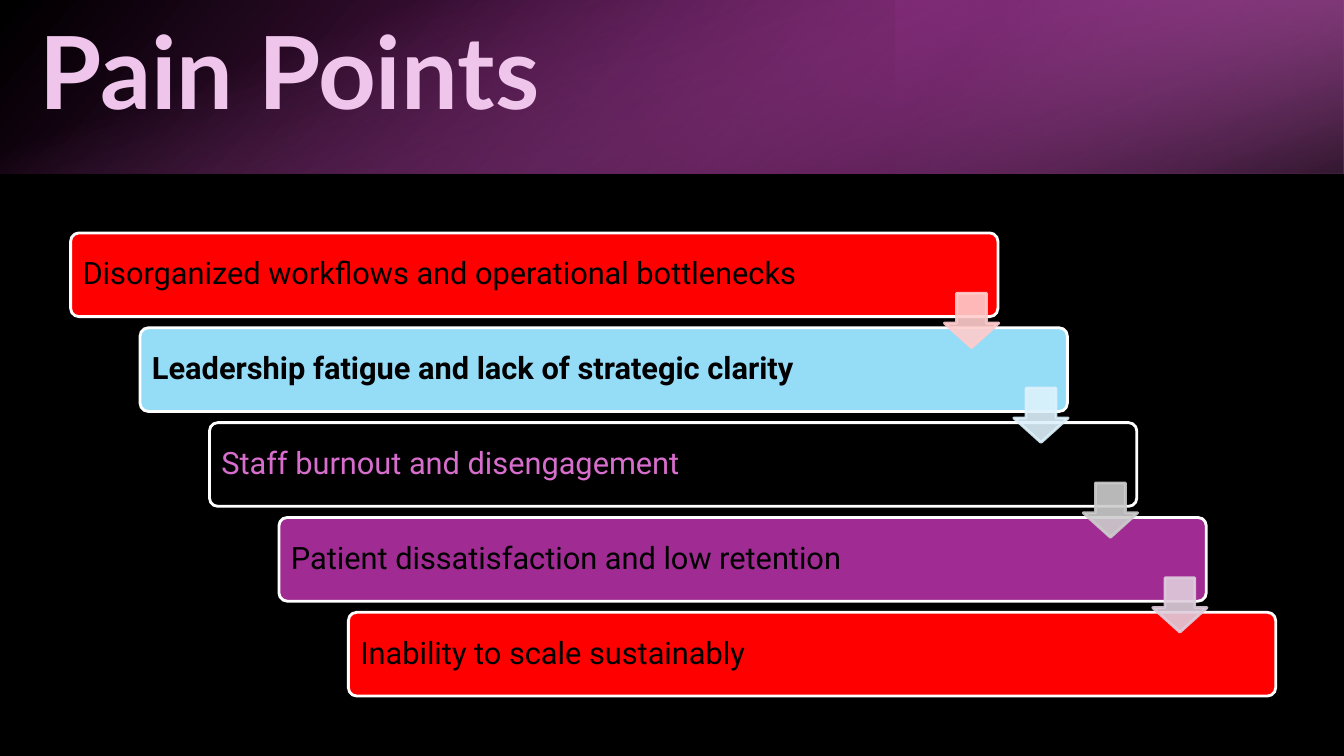
from lxml.etree import SubElement
from pptx import Presentation
from pptx.dml.color import RGBColor
from pptx.enum.shapes import MSO_SHAPE
from pptx.enum.text import MSO_ANCHOR, PP_ALIGN
from pptx.oxml.ns import qn
from pptx.util import Cm, Pt


def rgb(color):
    return RGBColor.from_string(color)


def write(s, text, font, size, color, bold):
    tf = s.text_frame
    tf.word_wrap = True
    tf.vertical_anchor = MSO_ANCHOR.MIDDLE
    p = tf.paragraphs[0]
    p.text = text
    p.alignment = PP_ALIGN.LEFT
    p.line_spacing = 0.9
    f = p.runs[0].font
    f.name, f.size, f.bold = font, Pt(size), bold
    f.color.rgb = rgb(color)


prs = Presentation()
prs.slide_width, prs.slide_height = Cm(33.87), Cm(19.05)
slide = prs.slides.add_slide(prs.slide_layouts[6])
slide.background.fill.solid()
slide.background.fill.fore_color.rgb = rgb("000000")

# Header band: left, top, width, height, rotation, flip, angle, stops (position, color, opacity)
band = [
    (0, 0, 33.87, 4.37, 0, True, 140, [(0, "000000", 96), (100, "BF34B0", 100)]),
    (22.58, 0, 11.29, 4.37, 180, True, 320, [(19, "7F2376", 68), (100, "D76DCC", 79)]),
    (14.75, -14.75, 4.37, 33.87, 90, False, 340, [(23, "D76DCC", 0), (99, "000000", 74)]),
]
for x, y, w, h, rotation, flip, angle, stops in band:
    s = slide.shapes.add_shape(MSO_SHAPE.RECTANGLE, Cm(x), Cm(y), Cm(w), Cm(h))
    s.shadow.inherit = False
    s.line.fill.background()
    s.rotation = rotation
    spPr = s._element.spPr
    if flip:
        spPr.find(qn("a:xfrm")).set("flipH", "1")
    s.fill.gradient()
    grad = spPr.find(qn("a:gradFill"))
    grad.set("rotWithShape", "1")
    for child in list(grad):
        grad.remove(child)
    gsLst = SubElement(grad, qn("a:gsLst"))
    for pos, color, opacity in stops:
        gs = SubElement(gsLst, qn("a:gs"), pos=str(pos * 1000))
        clr = SubElement(gs, qn("a:srgbClr"), val=color)
        SubElement(clr, qn("a:alpha"), val=str(opacity * 1000))
    SubElement(grad, qn("a:lin"), ang=str(angle * 60000), scaled="0")

# Title
title = slide.shapes.add_textbox(Cm(0.74), Cm(0.71), Cm(27.89), Cm(2.44))
write(title, "Pain Points", "Lato", 72, "EFC5EB", True)

# Staircase of bars: text, fill, text color, bold
points = [
    ("Disorganized workflows and operational bottlenecks", "FF0000", "000000", False),
    ("Leadership fatigue and lack of strategic clarity", "95DCF7", "000000", True),
    ("Staff burnout and disengagement", "000000", "D76DCC", False),
    ("Patient dissatisfaction and low retention", "A02B93", "000000", False),
    ("Inability to scale sustainably", "FF0000", "000000", False),
]
left, top, step_x, step_y = 1.78, 5.87, 1.75, 2.39
for i, (text, fill, color, bold) in enumerate(points):
    s = slide.shapes.add_shape(MSO_SHAPE.ROUNDED_RECTANGLE, Cm(left + i * step_x),
                               Cm(top + i * step_y), Cm(23.37), Cm(2.11))
    s.shadow.inherit = False
    s.adjustments[0] = 0.1
    s.fill.solid()
    s.fill.fore_color.rgb = rgb(fill)
    s.line.color.rgb = rgb("FFFFFF")
    s.line.width = Pt(2)
    s.text_frame.margin_left = Cm(0.24)
    write(s, text, "Roboto", 22, color, bold)

# Arrows from each bar to the next
for i, color in enumerate(["FFCCCC", "DDF2FC", "CCCCCC", "DFCDDC"]):
    s = slide.shapes.add_shape(MSO_SHAPE.DOWN_ARROW, Cm(left + 22.02 + i * step_x),
                               Cm(top + 1.52 + i * step_y), Cm(1.37), Cm(1.37))
    s.shadow.inherit = False
    s.adjustments[0], s.adjustments[1] = 0.55, 0.45
    s.fill.solid()
    s.fill.fore_color.rgb = rgb(color)
    s.line.color.rgb = rgb(color)
    s.line.width = Pt(2)
    for clr in s._element.spPr.iter(qn("a:srgbClr")):
        SubElement(clr, qn("a:alpha"), val="90000")

prs.save("out.pptx")
